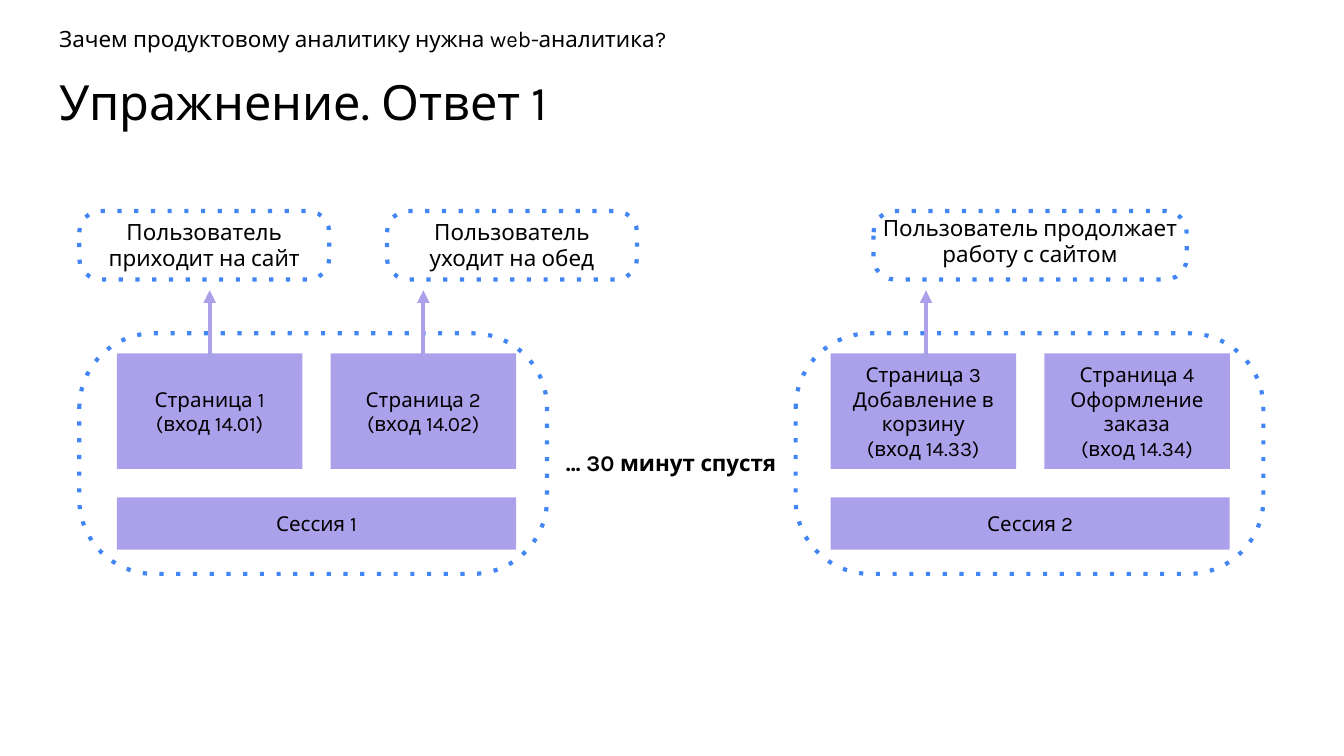
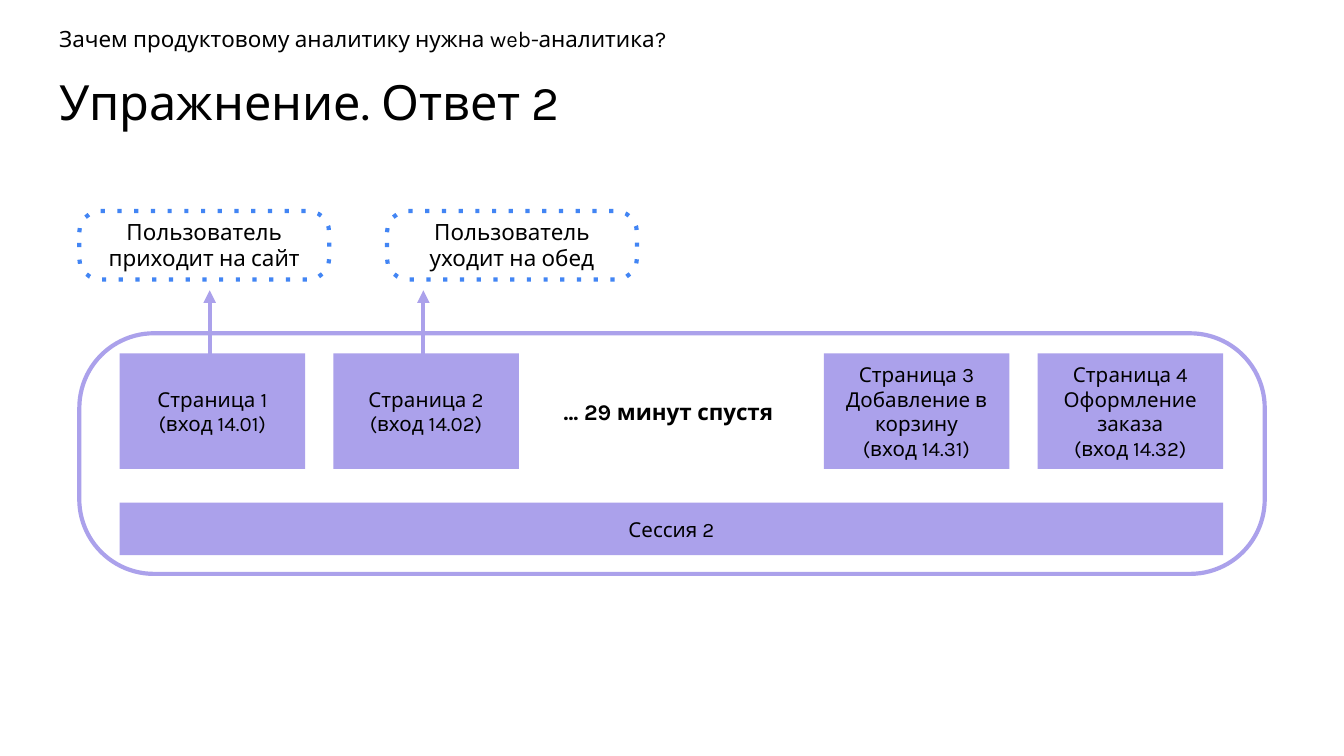
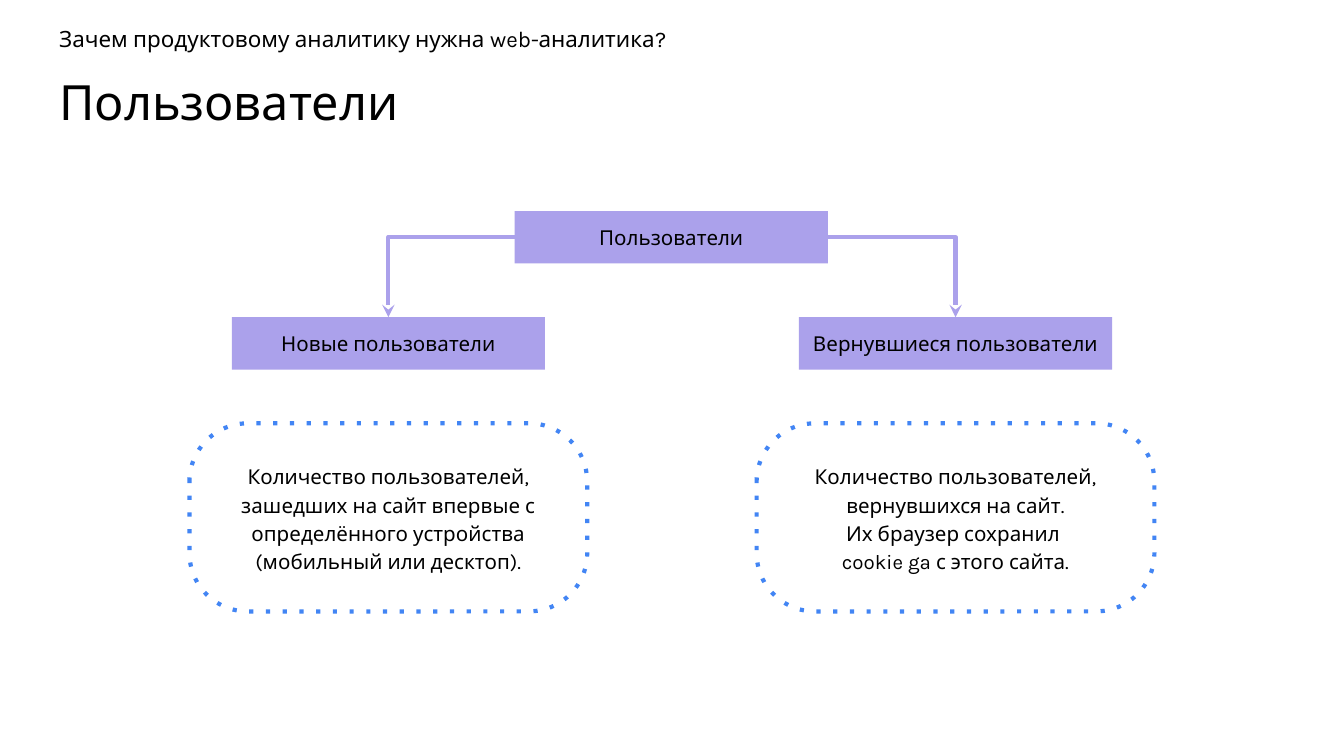
from dataclasses import dataclass

import pptx
import pptx.dml.color
import pptx.enum.shapes
import pptx.enum.text
import pptx.oxml
import pptx.oxml.ns
import pptx.util
from pptx.util import Inches

RGB = pptx.dml.color.RGBColor
ALIGN = pptx.enum.text.PP_ALIGN
ANCHOR = pptx.enum.text.MSO_ANCHOR
SHAPE = pptx.enum.shapes.MSO_SHAPE
CONNECTOR = pptx.enum.shapes.MSO_CONNECTOR


@dataclass(frozen=True)
class Theme:
    font: str = "Karla"
    ink: RGB = RGB(0x00, 0x00, 0x00)
    paper: RGB = RGB(0xFF, 0xFF, 0xFF)
    lilac: RGB = RGB(0xAB, 0xA1, 0xEB)
    blue: RGB = RGB(0x42, 0x85, 0xF4)
    title_size: int = 26
    note_size: int = 12
    box_size: int = 11
    line_width: float = 2.25
    corner: float = 0.31


THEME = Theme()
SLIDE_W = 10
SLIDE_H = SLIDE_W * 9 / 16
TOPIC = "Зачем продуктовому аналитику нужна web-аналитика?"
PAGE_W, PAGE_H, PAGE_TOP, PAGE_PITCH = 1.38, 0.86, 2.63, 1.59
BAR_H = 0.39
PANEL_TOP, PANEL_H = 2.48, 1.79
CALLOUT_TOP, CALLOUT_H, CALLOUT_INSET = 1.57, 0.51, 0.06
ARRIVES = (0.59, 1.86, "Пользователь приходит на сайт")
LEAVES = (2.88, 1.86, "Пользователь уходит на обед")


def assign(obj, values):
    for name, value in values.items():
        setattr(obj, name, value)


def inches(*lengths):
    return [Inches(length) for length in lengths]


def write(sp, text, size, margins=(0, 0, 0, 0), anchor=ANCHOR.TOP,
          align=ALIGN.CENTER, bold=False, **spacing):
    """Fill a shape with text, one paragraph per line; margins run left, top, right, bottom."""
    tf = sp.text_frame
    left, top, right, bottom = inches(*margins)
    assign(tf, dict(word_wrap=True, auto_size=pptx.enum.text.MSO_AUTO_SIZE.NONE,
                    vertical_anchor=anchor, margin_left=left, margin_top=top,
                    margin_right=right, margin_bottom=bottom))
    for i, line in enumerate(text.split("\n")):
        p = tf.add_paragraph() if i else tf.paragraphs[0]
        assign(p, dict(alignment=align, **spacing))
        r = p.add_run()
        r.text = line
        assign(r.font, dict(name=THEME.font, size=pptx.util.Pt(size), bold=bold))
        r.font.color.rgb = THEME.ink


def add_text(slide, at, text, size, **options):
    sp = slide.shapes.add_textbox(*inches(*at))
    write(sp, text, size, **options)


def style_line(sp, color, **details):
    """Colour the line and add XML details such as prstDash or tailEnd."""
    sp.line.color.rgb = color
    sp.line.width = pptx.util.Pt(THEME.line_width)
    ln = sp.element.spPr.get_or_add_ln()
    for tag, value in details.items():
        attribute = "val" if tag == "prstDash" else "type"
        ln.append(pptx.oxml.parse_xml(
            f'<a:{tag} {pptx.oxml.ns.nsdecls("a")} {attribute}="{value}"/>'))


def add_rounded(slide, at, corner, fill=None):
    sp = slide.shapes.add_shape(SHAPE.ROUNDED_RECTANGLE, *inches(*at))
    sp.adjustments[0] = corner
    sp.shadow.inherit = False
    if fill is None:
        sp.fill.background()
    else:
        sp.fill.solid()
        sp.fill.fore_color.rgb = fill
    return sp


def add_box(slide, at, text):
    sp = add_rounded(slide, at, 0, THEME.lilac)
    sp.line.fill.background()
    write(sp, text, THEME.box_size, margins=(0.07, 0.04, 0.07, 0.04), anchor=ANCHOR.MIDDLE)
    return sp


def add_dotted(slide, at, fill=None):
    sp = add_rounded(slide, at, THEME.corner, fill)
    style_line(sp, THEME.blue, prstDash="dot")
    return sp


def add_callout(slide, left, width, text, text_top=1.62, text_height=0.34):
    add_dotted(slide, (left, CALLOUT_TOP, width, CALLOUT_H), THEME.paper)
    add_text(slide, (left + CALLOUT_INSET, text_top, width - 2 * CALLOUT_INSET, text_height),
             text, THEME.note_size)


def add_connector(slide, kind, start, end, head):
    cxn = slide.shapes.add_connector(kind, *inches(*start, *end))
    style_line(cxn, THEME.lilac, tailEnd=head)
    cxn.element.spPr.append(
        pptx.oxml.parse_xml(f'<a:effectLst {pptx.oxml.ns.nsdecls("a")}/>'))
    return cxn


def add_up_arrow(slide, x):
    add_connector(slide, CONNECTOR.STRAIGHT, (x, 2.81), (x, 2.16), "triangle")


def add_elbow(slide, parent, side, child):
    """Run from a side of the parent, with one turn, down to the top of the child."""
    cxn = add_connector(slide, CONNECTOR.ELBOW, (0, 0), (1, 1), "stealth")
    cxn.begin_connect(parent, side)
    cxn.end_connect(child, 0)
    cxn.element.spPr.prstGeom.set("prst", "bentConnector2")


def add_pages(slide, left, texts):
    for i, text in enumerate(texts):
        add_box(slide, (left + i * PAGE_PITCH, PAGE_TOP, PAGE_W, PAGE_H), text)


def add_pause(slide, left, top, text):
    add_text(slide, (left, top, 1.67, 0.58), text, THEME.note_size,
             anchor=ANCHOR.MIDDLE, bold=True)


def add_slide(prs, title):
    slide = prs.slides.add_slide(prs.slide_layouts[5])
    sp = slide.shapes.title
    left, top, width, height = inches(0.44, 0.59, 6.61, 0.59)
    assign(sp, dict(left=left, top=top, width=width, height=height))
    write(sp, title, THEME.title_size, margins=(0, 0.01, 0, 0), align=ALIGN.LEFT,
          line_spacing=0.85)
    add_text(slide, (0.44, 0.12, 6.61, 0.3), TOPIC, THEME.note_size,
             margins=(0, 0.04, 0, 0.04), anchor=ANCHOR.MIDDLE, align=ALIGN.LEFT,
             line_spacing=1.15, space_after=pptx.util.Pt(12))
    return slide


def first_pages():
    return ["Страница 1\n(вход 14.01)", "Страница 2\n(вход 14.02)"]


def order_pages(cart_time, order_time):
    return [f"Страница 3\nДобавление в корзину\n(вход {cart_time})",
            f"Страница 4\nОформление заказа\n(вход {order_time})"]


def two_sessions(prs):
    slide = add_slide(prs, "Упражнение. Ответ 1")
    for left in (0.59, 5.92):
        add_dotted(slide, (left, PANEL_TOP, 3.48, PANEL_H))
    for x in (1.56, 3.15, 6.89):
        add_up_arrow(slide, x)
    add_callout(slide, *ARRIVES)
    add_callout(slide, *LEAVES)
    add_callout(slide, 6.5, 2.33, "Пользователь продолжает работу с сайтом",
                text_top=1.59, text_height=0.5)
    sessions = [(0.87, first_pages(), "Сессия 1"),
                (6.18, order_pages("14.33", "14.34"), "Сессия 2")]
    for left, pages, session in sessions:
        add_pages(slide, left, pages)
        add_box(slide, (left, 3.7, PAGE_PITCH + PAGE_W, BAR_H), session)
    add_pause(slide, 4.18, 3.15, "… 30 минут спустя ")


def one_session(prs):
    slide = add_slide(prs, "Упражнение. Ответ 2")
    panel = add_rounded(slide, (0.59, PANEL_TOP, 8.82, PANEL_H), THEME.corner)
    style_line(panel, THEME.lilac)
    for x in (1.56, 3.15):
        add_up_arrow(slide, x)
    add_callout(slide, *ARRIVES)
    add_callout(slide, *LEAVES)
    add_pages(slide, 0.89, first_pages())
    add_pages(slide, 6.13, order_pages("14.31", "14.32"))
    add_box(slide, (0.89, 3.74, 8.21, BAR_H), "Сессия 2")
    add_pause(slide, 4.16, 2.77, "… 29 минут спустя ")


def user_types(prs):
    slide = add_slide(prs, "Пользователи")
    box_w, note_w = 2.33, 2.96
    root = add_box(slide, (3.83, 1.57, box_w, BAR_H), "Пользователи")
    branches = [
        (2.89, 1, "Новые пользователи",
         "Количество пользователей, зашедших на сайт впервые с "
         "определённого устройства (мобильный или десктоп)."),
        (7.11, 3, "Вернувшиеся пользователи",
         "Количество пользователей, вернувшихся на сайт.\n"
         "Их браузер сохранил \ncookie ga с этого сайта."),
    ]
    for center, side, name, meaning in branches:
        child = add_box(slide, (center - box_w / 2, 2.36, box_w, BAR_H), name)
        note = add_dotted(slide, (center - note_w / 2, 3.15, note_w, 1.4), THEME.paper)
        write(note, meaning, THEME.box_size, anchor=ANCHOR.MIDDLE, line_spacing=1.15)
        add_elbow(slide, root, side, child)


def main():
    prs = pptx.Presentation()
    assign(prs, dict(slide_width=Inches(SLIDE_W), slide_height=Inches(SLIDE_H)))
    two_sessions(prs)
    one_session(prs)
    user_types(prs)
    prs.save("out.pptx")


if __name__ == "__main__":
    main()
